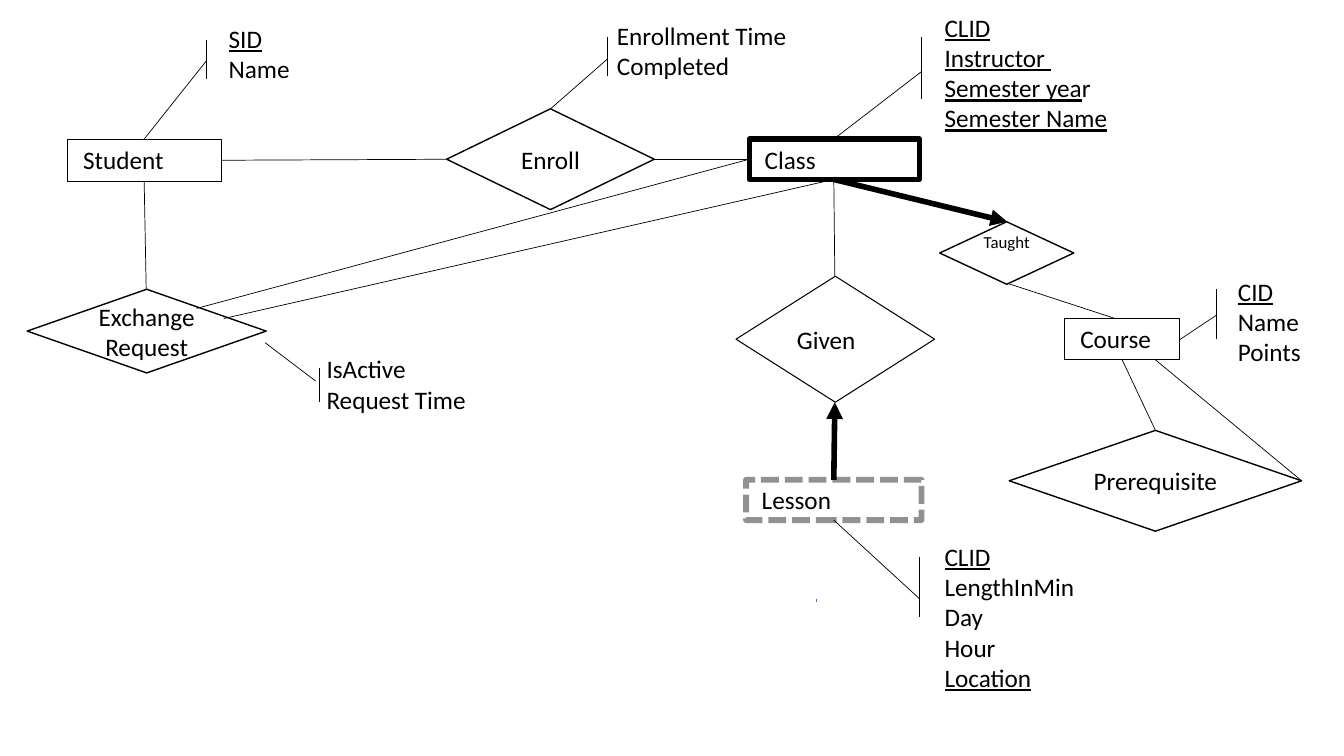
"""Build an entity-relationship diagram of students, classes, courses and lessons."""
from dataclasses import dataclass

from lxml.etree import SubElement
from pptx import Presentation
from pptx.dml.color import RGBColor
from pptx.enum.dml import MSO_LINE
from pptx.enum.shapes import MSO_CONNECTOR, MSO_SHAPE
from pptx.enum.text import MSO_ANCHOR, PP_ALIGN
from pptx.oxml.ns import qn
from pptx.shapes.autoshape import Shape
from pptx.slide import Slide
from pptx.text.text import TextFrame
from pptx.util import Inches, Pt

BLACK = RGBColor(0x00, 0x00, 0x00)
WHITE = RGBColor(0xFF, 0xFF, 0xFF)
GREY = RGBColor(0x80, 0x80, 0x80)
BLUE = RGBColor(0x44, 0x72, 0xC4)
FONT = "Calibri"


@dataclass(frozen=True)
class Box:
    left: float
    top: float
    width: float
    height: float


@dataclass(frozen=True)
class Entity:
    name: str
    box: Box
    line_width: float = 0.75
    weak: bool = False


@dataclass(frozen=True)
class Relationship:
    name: str
    box: Box
    line_width: float = 1
    size: int = 18
    insets: tuple[float, float, float, float] = (0.1, 0.05, 0.1, 0.05)


@dataclass(frozen=True)
class Attributes:
    """Attribute list in which underscores enclose underlined key text."""
    lines: tuple[str, ...]
    box: Box


@dataclass(frozen=True)
class Link:
    start: tuple[float, float]
    end: tuple[float, float]
    arrow: bool = False
    color: RGBColor = BLACK


ENTITIES = (
    Entity("Student", Box(0.67, 1.38, 1.53, 0.42)),
    Entity("Class", Box(7.43, 1.38, 1.69, 0.4), 3.75),
    Entity("Lesson", Box(7.4, 4.76, 1.74, 0.4), 4.25, weak=True),
    Entity("Course", Box(10.56, 3.16, 1.14, 0.41)),
)
RELATIONSHIPS = (
    Relationship("Enroll", Box(4.43, 1.08, 2.06, 1)),
    Relationship("Exchange Request", Box(0.27, 2.87, 2.37, 0.83)),
    Relationship("Given", Box(7.3, 2.74, 1.97, 1.25), 0.75, insets=(0.01, 0.05, 0.19, 0.05)),
    Relationship("Prerequisite", Box(10.01, 4.27, 2.9, 1)),
    Relationship("Taught", Box(9.32, 2.2, 1.33, 0.62), size=12, insets=(0, 0, 0, 0.22)),
)
ATTRIBUTES = (
    Attributes(("_SID_", "Name"), Box(2.17, 0.18, 0.84, 0.71)),
    Attributes(("Enrollment Time", "Completed"), Box(6.02, 0.15, 2.09, 0.71)),
    Attributes(("_CLID_", "_Instructor _", "_Semester yea_r", "_Semester Name_"),
               Box(9.27, 0.07, 2.42, 1.31)),
    Attributes(("IsActive", "Request Time"), Box(3.14, 3.46, 3.01, 1.01)),
    Attributes(("_CLID_", "LengthInMin", "Day", "Hour", "_Location_"),
               Box(9.27, 5.32, 1.97, 1.62)),
    Attributes(("_CID_", "Name", "Points"), Box(12.18, 2.69, 0.9, 1.01)),
)
ATTRIBUTE_LINKS = (
    Link((1.43, 1.38), (2.05, 0.6)),
    Link((2.05, 0.4), (2.05, 0.78)),
    Link((2.63, 3.4), (3.13, 3.78)),
    Link((3.17, 3.65), (3.17, 3.99)),
    Link((5.46, 1.08), (6.02, 0.59)),
    Link((6.02, 0.37), (6.02, 0.75)),
    Link((8.27, 1.38), (9.14, 0.71)),
    Link((9.14, 0.37), (9.14, 0.98)),
    Link((8.27, 5.16), (9.12, 5.94)),
    Link((9.12, 5.53), (9.12, 6.12)),
    Link((11.7, 3.37), (12.06, 3.13)),
    Link((12.06, 2.87), (12.06, 3.36)),
)
RELATIONSHIP_LINKS = (
    Link((2.2, 1.59), (4.43, 1.58)),
    Link((1.43, 1.8), (1.45, 2.87)),
    Link((7.43, 1.58), (6.49, 1.58)),
    Link((8.27, 1.78), (8.28, 2.74)),
    Link((8.27, 4.76), (8.28, 3.99), arrow=True),
    Link((11.13, 3.57), (11.46, 4.27)),
    Link((11.46, 3.57), (12.91, 4.77)),
    Link((11.06, 3.16), (9.99, 2.81)),
    Link((8.27, 1.78), (9.99, 2.2), arrow=True),
    Link((7.43, 1.58), (1.95, 3.06)),
    Link((8.27, 1.78), (2.22, 3.16)),
    Link((8.1, 5.94), (8.1, 5.97), color=BLUE),
)


def place(box: Box) -> tuple[Inches, ...]:
    return tuple(Inches(length) for length in (box.left, box.top, box.width, box.height))


def write_lines(frame: TextFrame, lines: tuple[str, ...], size: int, alignment: PP_ALIGN) -> None:
    frame.word_wrap = True
    for index, line in enumerate(lines):
        paragraph = frame.add_paragraph() if index else frame.paragraphs[0]
        paragraph.alignment = alignment
        paragraph.font.name = FONT
        paragraph.font.size = Pt(size)
        paragraph.font.color.rgb = BLACK
        for part, text in enumerate(line.split("_")):
            if text:
                run = paragraph.add_run()
                run.text = text
                if part % 2:
                    run.font.underline = True


def add_outline(slide: Slide, kind: MSO_SHAPE, box: Box, line_width: float) -> Shape:
    shape = slide.shapes.add_shape(kind, *place(box))
    shape.shadow.inherit = False
    shape.line.color.rgb = BLACK
    shape.line.width = Pt(line_width)
    return shape


def add_entity(slide: Slide, entity: Entity) -> None:
    shape = add_outline(slide, MSO_SHAPE.RECTANGLE, entity.box, entity.line_width)
    shape.fill.background()
    if entity.weak:
        shape.line.color.rgb = GREY
        shape.line.dash_style = MSO_LINE.SQUARE_DOT
        color = shape.line.fill._xPr.find(f"{qn('a:solidFill')}/{qn('a:srgbClr')}")
        SubElement(color, qn("a:alpha"), val="85000")
        shape.line.dash_style = MSO_LINE.SQUARE_DOT
        shape.line._ln.find(qn("a:prstDash")).set("val", "sysDash")
    shape.text_frame.vertical_anchor = MSO_ANCHOR.TOP
    write_lines(shape.text_frame, (f" {entity.name}",), 18, PP_ALIGN.LEFT)


def add_relationship(slide: Slide, relationship: Relationship) -> None:
    shape = add_outline(slide, MSO_SHAPE.DIAMOND, relationship.box, relationship.line_width)
    shape.fill.solid()
    shape.fill.fore_color.rgb = WHITE
    frame = shape.text_frame
    frame.vertical_anchor = MSO_ANCHOR.MIDDLE
    frame.margin_left, frame.margin_top, frame.margin_right, frame.margin_bottom = (
        Inches(inset) for inset in relationship.insets)
    write_lines(frame, (relationship.name,), relationship.size, PP_ALIGN.CENTER)


def add_attributes(slide: Slide, attributes: Attributes) -> None:
    text_box = slide.shapes.add_textbox(*place(attributes.box))
    write_lines(text_box.text_frame, attributes.lines, 18, PP_ALIGN.LEFT)


def add_link(slide: Slide, link: Link) -> None:
    ends = (Inches(length) for length in (*link.start, *link.end))
    connector = slide.shapes.add_connector(MSO_CONNECTOR.STRAIGHT, *ends)
    connector.line.color.rgb = link.color
    connector.line.width = Pt(4 if link.arrow else 0.5)
    if link.arrow:
        SubElement(connector.line._ln, qn("a:tailEnd"), type="triangle")
    SubElement(connector._element.spPr, qn("a:effectLst"))


def main() -> None:
    presentation = Presentation()
    presentation.slide_width = Inches(13.33)
    presentation.slide_height = Inches(7.5)
    slide = presentation.slides.add_slide(presentation.slide_layouts[6])
    for entity in ENTITIES:
        add_entity(slide, entity)
    for relationship in RELATIONSHIPS:
        add_relationship(slide, relationship)
    for attributes in ATTRIBUTES:
        add_attributes(slide, attributes)
    for link in ATTRIBUTE_LINKS + RELATIONSHIP_LINKS:
        add_link(slide, link)
    presentation.save("out.pptx")


if __name__ == "__main__":
    main()
